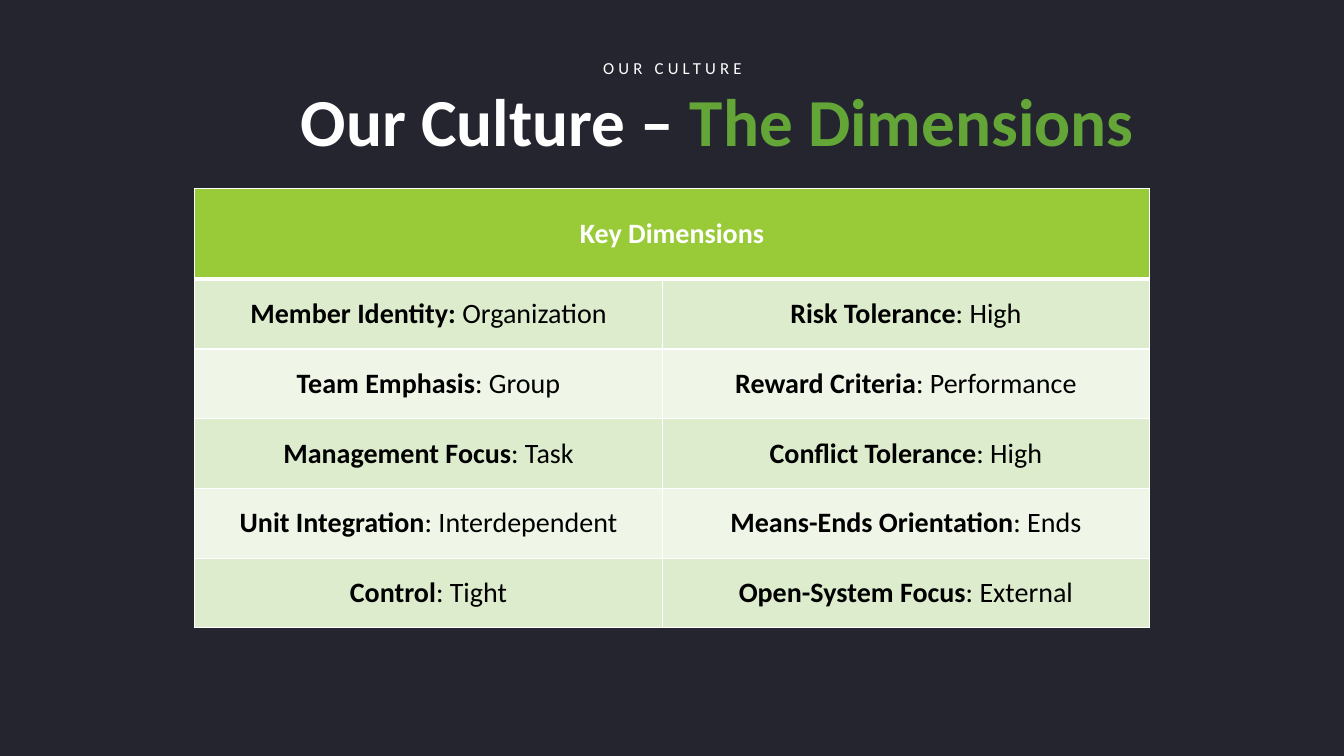
from lxml import etree
from pptx import Presentation
from pptx.dml.color import RGBColor
from pptx.enum.text import MSO_ANCHOR as Anchor, MSO_AUTO_SIZE as AutoSize, PP_ALIGN as Align
from pptx.oxml.ns import qn
from pptx.util import Inches, Pt

BACKGROUND = RGBColor(0x25, 0x25, 0x30)
WHITE = RGBColor(0xFF, 0xFF, 0xFF)
BLACK = RGBColor(0, 0, 0)
GREEN = RGBColor(0x63, 0xA5, 0x37)
HEADER_FILL = RGBColor(0x99, 0xCB, 0x38)
BANDS = (RGBColor(0xDE, 0xEC, 0xCE), RGBColor(0xEF, 0xF6, 0xE8))
FONT = "Calibri"

# Each cell holds a bold label and a plain value
DIMENSIONS = [
    (("Member Identity: ", "Organization"), ("Risk Tolerance", ": High")),
    (("Team Emphasis", ": Group"), ("Reward Criteria", ": Performance")),
    (("Management Focus", ": Task"), ("Conflict Tolerance", ": High")),
    (("Unit Integration", ": Interdependent"), ("Means-Ends Orientation", ": Ends")),
    (("Control", ": Tight"), ("Open-System Focus", ": External")),
]


def style_paragraph(para, size, color):
    para.alignment = Align.CENTER
    para.font.name = FONT
    para.font.size = Pt(size)
    para.font.color.rgb = color


def add_span(para, text, bold=None):
    span = para.add_run()
    span.text = text
    span.font.bold = bold
    return span


def add_title(slide, left, top, width, height):
    title = slide.shapes.title
    title.left, title.top = Inches(left), Inches(top)
    title.width, title.height = Inches(width), Inches(height)
    title.text_frame.auto_size = AutoSize.NONE
    para = title.text_frame.paragraphs[0]
    style_paragraph(para, 48, WHITE)
    para.font.bold = True
    add_span(para, "Our Culture – ")
    add_span(para, "The Dimensions").font.color.rgb = GREEN


def add_section_label(slide, left, top, width, height):
    box = slide.shapes.add_textbox(Inches(left), Inches(top), Inches(width), Inches(height))
    box.text_frame.word_wrap = True
    para = box.text_frame.paragraphs[0]
    style_paragraph(para, 12, WHITE)
    span = add_span(para, "OUR CULTURE")
    span.font._element.set("spc", "300")


def set_borders(cell, top=1, bottom=1):
    properties = cell._tc.get_or_add_tcPr()
    widths = {"a:lnL": 1, "a:lnR": 1, "a:lnT": top, "a:lnB": bottom}
    for index, (tag, width) in enumerate(widths.items()):
        line = etree.Element(qn(tag), w=str(Pt(width)))
        fill = etree.SubElement(line, qn("a:solidFill"))
        etree.SubElement(fill, qn("a:srgbClr"), val=str(WHITE))
        properties.insert(index, line)


def style_cell(cell, fill, **borders):
    cell.vertical_anchor = Anchor.MIDDLE
    cell.fill.solid()
    cell.fill.fore_color.rgb = fill
    set_borders(cell, **borders)


def add_dimensions_table(slide, left, top, width, height):
    frame = slide.shapes.add_table(len(DIMENSIONS) + 1, 2, Inches(left), Inches(top),
                                   Inches(width), Inches(height))
    table = frame.table
    first_width, header_height = 4.64, 0.9
    table.columns[0].width = Inches(first_width)
    table.columns[1].width = Inches(width - first_width)
    for row in table.rows:
        row.height = Inches((height - header_height) / len(DIMENSIONS))
    table.rows[0].height = Inches(header_height)

    # Header across both columns
    header = table.cell(0, 0)
    header.merge(table.cell(0, 1))
    for column in range(2):
        style_cell(table.cell(0, column), HEADER_FILL, bottom=3)
    para = header.text_frame.paragraphs[0]
    style_paragraph(para, 20, WHITE)
    add_span(para, "Key Dimensions", bold=True)

    # Banded body rows
    for row, pairs in enumerate(DIMENSIONS, start=1):
        for column, (label, value) in enumerate(pairs):
            cell = table.cell(row, column)
            style_cell(cell, BANDS[(row - 1) % 2], top=3 if row == 1 else 1)
            para = cell.text_frame.paragraphs[0]
            style_paragraph(para, 20, BLACK)
            add_span(para, label, bold=True)
            add_span(para, value, bold=False)


def main():
    deck = Presentation()
    deck.slide_width, deck.slide_height = Inches(13.33), Inches(7.5)
    slide = deck.slides.add_slide(deck.slide_layouts[5])
    slide.background.fill.solid()
    slide.background.fill.fore_color.rgb = BACKGROUND
    add_title(slide, 1.67, 0.73, 10.89, 0.91)
    add_section_label(slide, 4.19, 0.52, 4.96, 0.3)
    add_dimensions_table(slide, 1.93, 1.87, 9.47, 4.36)
    deck.save("out.pptx")


if __name__ == "__main__":
    main()
